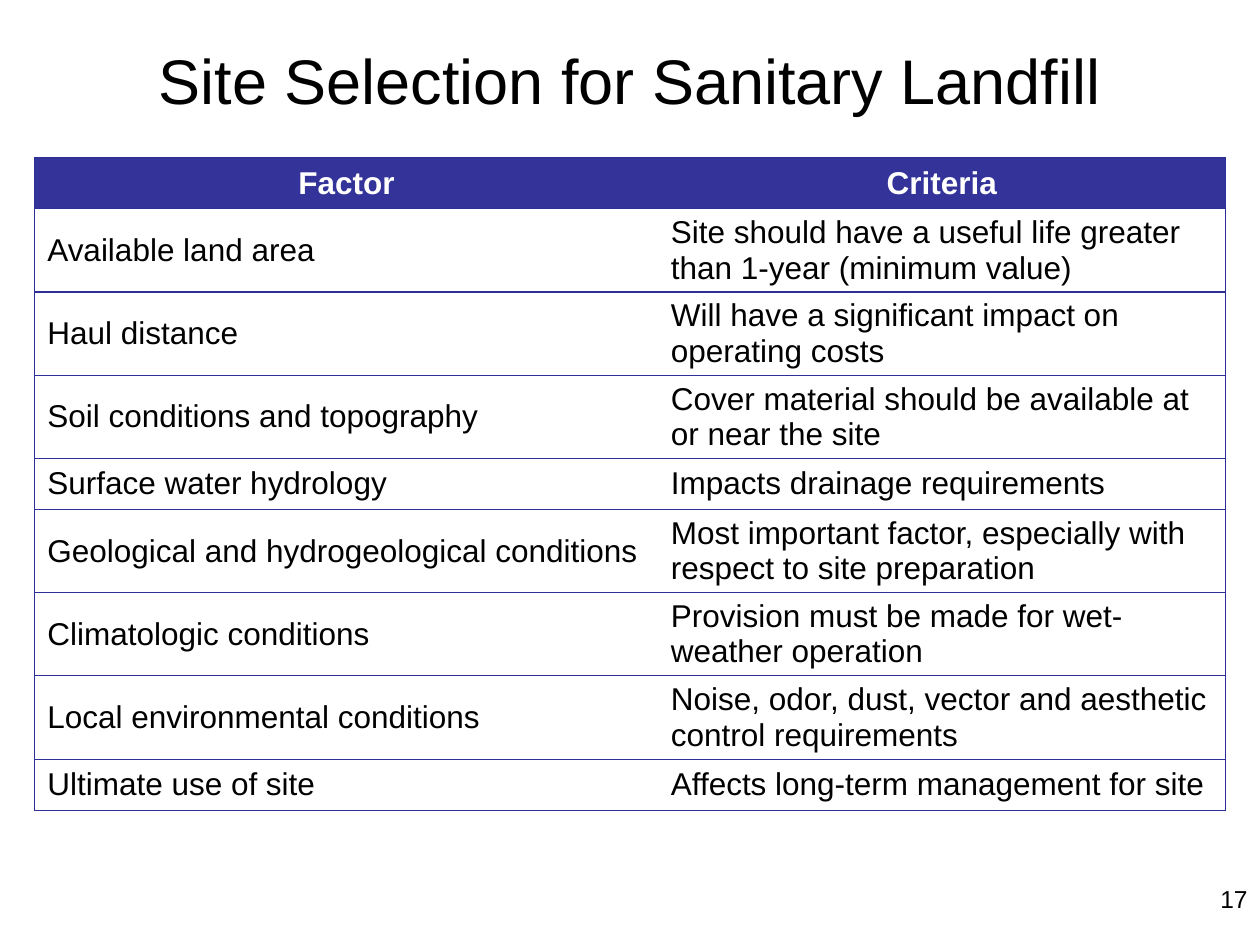
"""Build the slide on site selection factors for a sanitary landfill."""
import pptx
import pptx.dml.color
import pptx.enum.text
import pptx.oxml
import pptx.oxml.ns
import pptx.util
from pptx.util import Cm

ALIGN = pptx.enum.text.PP_ALIGN
MIDDLE = pptx.enum.text.MSO_ANCHOR.MIDDLE
THEME = {
    "font": "Arial",
    "black": "000000",
    "white": "FFFFFF",
    "header": "333399",
    "border": "2F2F98",
    "title_size": 36,
    "table_size": 18,
    "number_size": 14,
    "border_width": 0.75,
}
HEADINGS = ("Factor", "Criteria")
FACTORS = [
    ("Available land area", "Site should have a useful life greater than 1-year (minimum value)"),
    ("Haul distance", "Will have a significant impact on operating costs"),
    ("Soil conditions and topography", "Cover material should be available at or near the site"),
    ("Surface water hydrology", "Impacts drainage requirements"),
    ("Geological and hydrogeological conditions",
     "Most important factor, especially with respect to site preparation"),
    ("Climatologic conditions", "Provision must be made for wet-weather operation"),
    ("Local environmental conditions",
     "Noise, odor, dust, vector and aesthetic control requirements"),
    ("Ultimate use of site", "Affects long-term management for site"),
]


def write(frame, text, size, color, align, bold=False):
    para = frame.paragraphs[0]
    para.alignment = align
    span = para.add_run()
    span.text = text
    formats = {"name": THEME["font"], "size": pptx.util.Pt(size), "bold": bold}
    for name, value in formats.items():
        setattr(span.font, name, value)
    span.font.color.rgb = pptx.dml.color.RGBColor.from_string(color)


def add_border(cell, side, visible):
    paint = "<a:noFill/>"
    if visible:
        paint = f'<a:solidFill><a:srgbClr val="{THEME["border"]}"/></a:solidFill>'
    width = pptx.util.Pt(THEME["border_width"])
    line = pptx.oxml.parse_xml(
        f'<a:ln{side} {pptx.oxml.ns.nsdecls("a")} w="{width}">{paint}</a:ln{side}>')
    cell._tc.get_or_add_tcPr().append(line)


deck = pptx.Presentation()
deck.slide_width, deck.slide_height = Cm(25.4), Cm(19.05)
page = deck.slides.add_slide(deck.slide_layouts[5])

title = page.shapes.title
place = {"left": Cm(1.27), "top": Cm(0), "width": Cm(22.86), "height": Cm(3.18)}
for name, value in place.items():
    setattr(title, name, value)
title.text_frame.vertical_anchor = MIDDLE
write(title.text_frame, "Site Selection for Sanitary Landfill",
      THEME["title_size"], THEME["black"], ALIGN.CENTER)

rows = [HEADINGS, *FACTORS]
row_height = Cm(1.03)
table = page.shapes.add_table(
    len(rows), len(HEADINGS), Cm(0.7), Cm(3.18), Cm(24), row_height * len(rows)).table
table.horz_banding = False
for column, width in zip(table.columns, (12.57, 11.43)):
    column.width = Cm(width)

for row_index, texts in enumerate(rows):
    is_header = row_index == 0
    table.rows[row_index].height = row_height
    for column_index, text in enumerate(texts):
        cell = table.cell(row_index, column_index)
        cell.vertical_anchor = MIDDLE
        is_first = column_index == 0
        for side, visible in (("L", is_first), ("R", not is_first), ("T", True), ("B", True)):
            add_border(cell, side, visible)
        cell.fill.solid()
        cell.fill.fore_color.rgb = pptx.dml.color.RGBColor.from_string(
            THEME["header" if is_header else "white"])
        write(cell.text_frame, text, THEME["table_size"],
              THEME["white" if is_header else "black"],
              ALIGN.CENTER if is_header else ALIGN.LEFT, is_header)

number = page.shapes.add_textbox(Cm(19.48), Cm(17.7), Cm(5.92), Cm(1.32))
number.text_frame.word_wrap = True
write(number.text_frame, "17", THEME["number_size"], THEME["black"], ALIGN.RIGHT)

deck.save("out.pptx")
